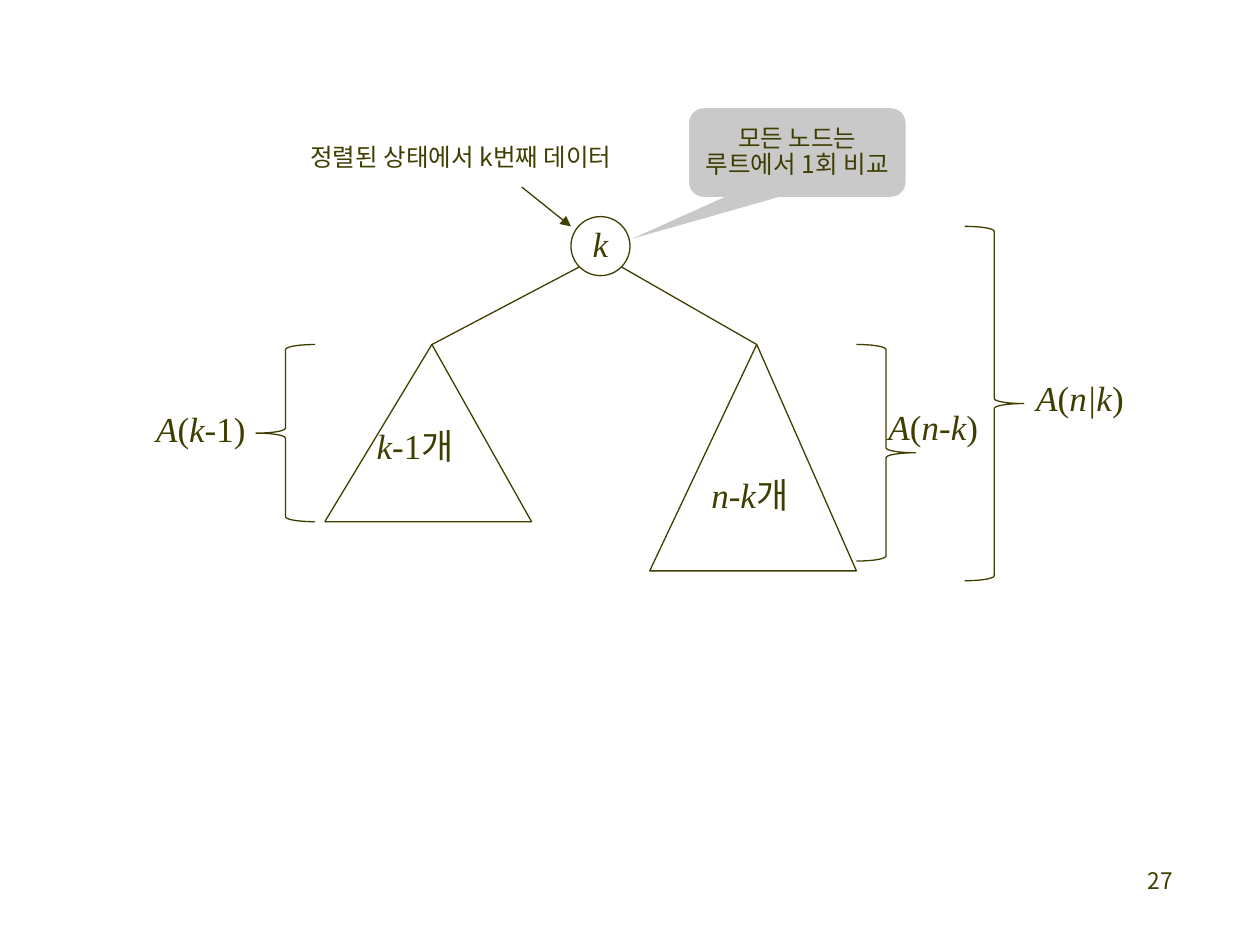
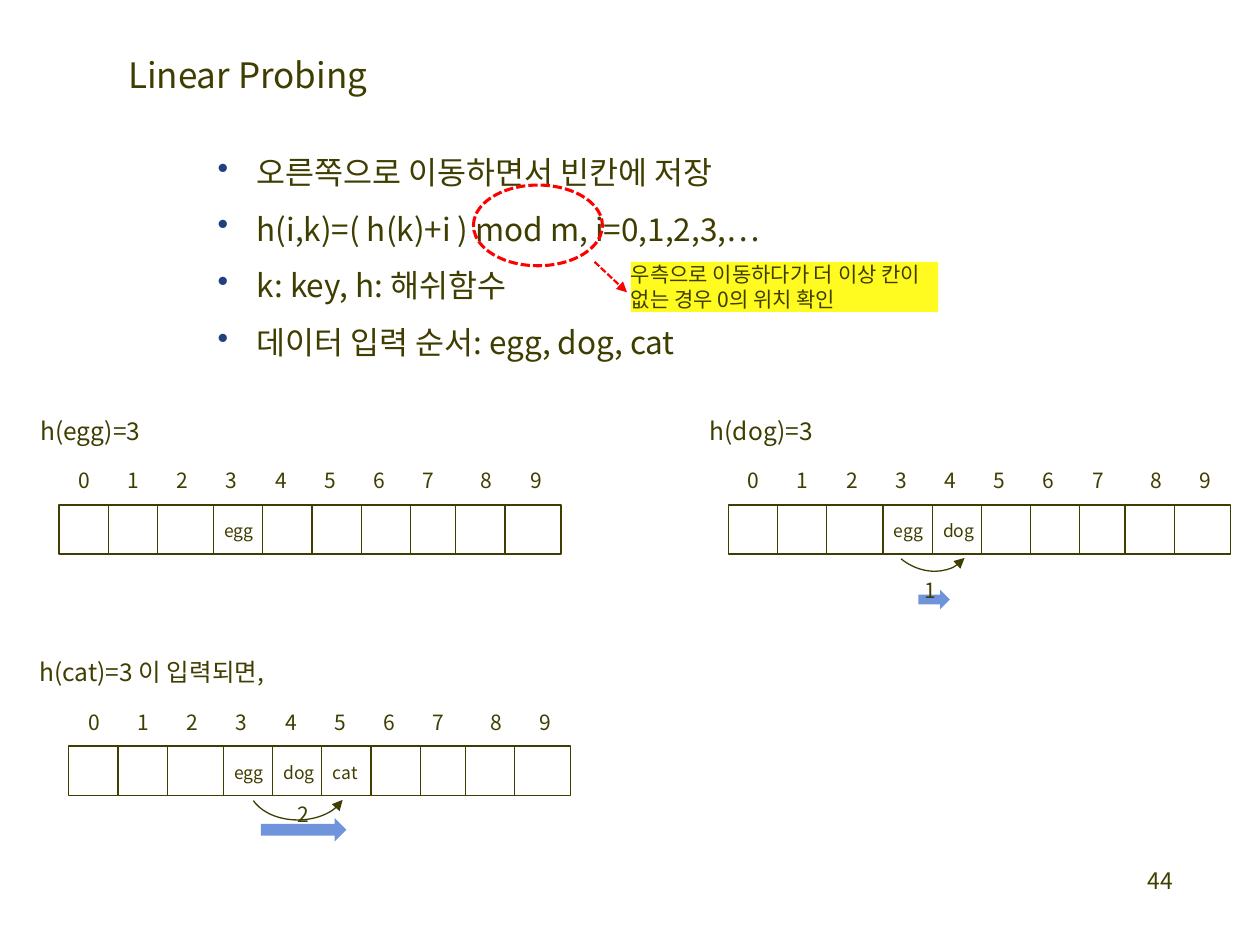
from itertools import accumulate

from lxml import etree
from pptx import Presentation
from pptx.dml.color import RGBColor
from pptx.enum.dml import MSO_LINE
from pptx.enum.shapes import MSO_CONNECTOR, MSO_SHAPE
from pptx.enum.text import MSO_ANCHOR, MSO_AUTO_SIZE, PP_ALIGN
from pptx.oxml.ns import qn
from pptx.util import Inches, Pt

INK = RGBColor(0x3F, 0x3E, 0x00)
RED = RGBColor(0xFF, 0x00, 0x00)
GREY = RGBColor(0xC9, 0xC9, 0xC9)
BLUE = RGBColor(0x70, 0x94, 0xDC)
YELLOW = RGBColor(0xFF, 0xFB, 0x20)
BULLET = RGBColor(0x20, 0x40, 0x80)

SANS, SERIF = "Noto Sans CJK KR", "Times New Roman"
DASH = MSO_LINE.SQUARE_DOT
STRAIGHT = MSO_CONNECTOR.STRAIGHT
LEFT, CENTER, RIGHT = PP_ALIGN.LEFT, PP_ALIGN.CENTER, PP_ALIGN.RIGHT
TOP, MIDDLE = MSO_ANCHOR.TOP, MSO_ANCHOR.MIDDLE
GROW = MSO_AUTO_SIZE.SHAPE_TO_FIT_TEXT
OVAL, RECT, ARC = MSO_SHAPE.OVAL, MSO_SHAPE.RECTANGLE, MSO_SHAPE.ARC
TRIANGLE, BRACE = MSO_SHAPE.ISOSCELES_TRIANGLE, MSO_SHAPE.RIGHT_BRACE
CALLOUT, ARROW = MSO_SHAPE.ROUNDED_RECTANGULAR_CALLOUT, MSO_SHAPE.RIGHT_ARROW

# The slide is a grid of 128 columns and 96 rows of square units.
COLS = 128
WIDTH, HEIGHT = Inches(10), Inches(7.5)
THIN = 0.75
TIGHT = Inches(0.04)
FIXED = Pt(26)

CELLS = (5, 5, 5.7, 5, 5, 5, 5, 4.6, 5, 5.7)
CELL_ROWS = 5
PITCH = 5


def grid(*units):
    return [round(unit * WIDTH / COLS) for unit in units]


def style_run(run, size, font=SANS, italic=False):
    run.font.size = Pt(size)
    run.font.italic = italic
    run.font.color.rgb = INK
    run.font.name = font
    etree.SubElement(run.font._element, qn("a:ea"), typeface=SANS)


def style_frame(frame, inset=None, wrap=True, grow=True, anchor=TOP):
    frame.word_wrap = wrap
    frame.vertical_anchor = anchor
    if grow:
        frame.auto_size = GROW
    if inset is not None:
        frame.margin_left = frame.margin_right = inset
        frame.margin_top = frame.margin_bottom = inset


def write(frame, text, size, align=LEFT, spacing=None):
    frame.text = text
    for par in frame.paragraphs:
        par.alignment = align
        par.line_spacing = spacing
        for run in par.runs:
            style_run(run, size)


def write_math(par, marked, align=LEFT):
    """Set parts split by '/', italic and upright by turns."""
    par.alignment = align
    par.line_spacing = 0.9
    for turn, part in enumerate(marked.split("/")):
        run = par.add_run()
        run.text = part
        style_run(run, 20, SERIF, turn % 2 == 0)


def add_text(slide, box, text, size, align=LEFT, spacing=None, **frame_style):
    frame = slide.shapes.add_textbox(*grid(*box)).text_frame
    style_frame(frame, **frame_style)
    write(frame, text, size, align, spacing)
    return frame


def add_label(slide, box, text, size=14, wrap=False):
    add_text(slide, box, text, size, spacing=FIXED, inset=TIGHT, wrap=wrap)


def add_math(slide, col, row, marked):
    frame = slide.shapes.add_textbox(*grid(col, row, 13.3, 9.9)).text_frame
    style_frame(frame)
    write_math(frame.paragraphs[0], marked)


def add_shape(slide, kind, box, fill=None, line=INK, width=THIN, adjust=(), turn=0):
    shape = slide.shapes.add_shape(kind, *grid(*box))
    shape.shadow.inherit = False
    shape.rotation = turn
    for index, value in enumerate(adjust):
        shape.adjustments[index] = value
    if fill is None:
        shape.fill.background()
        shape.line.color.rgb = line
        shape.line.width = Pt(width)
    else:
        shape.fill.solid()
        shape.fill.fore_color.rgb = fill
        shape.line.fill.background()
    return shape


def add_tip(line, end):
    etree.SubElement(line._get_or_add_ln(), qn(f"a:{end}"), type="triangle")


def add_line(slide, start, end, color=INK, width=THIN, dash=None, tip=False):
    link = slide.shapes.add_connector(STRAIGHT, *grid(*start, *end))
    link.line.color.rgb = color
    link.line.width = Pt(width)
    if dash:
        link.line.dash_style = dash
    if tip:
        add_tip(link.line, "tailEnd")
    etree.SubElement(link._element.spPr, qn("a:effectLst"))


def add_page(deck, number):
    slide = deck.slides.add_slide(deck.slide_layouts[6])
    add_text(slide, (93.8, 87.4, 26.6, 6.4), str(number), 13, RIGHT, grow=False)
    return slide


def add_tree(slide, col, rows, root, count, place):
    """Draw a subtree, the edge from the root and the node count."""
    top, width, peak = 35, 21, 0.518
    add_shape(slide, TRIANGLE, (col, top, width, rows), adjust=[peak])
    add_line(slide, root, (col + width * peak, top))
    add_math(slide, *place, count)


def add_brace(slide, col, row, rows, marked, place, turn=0):
    add_shape(slide, BRACE, (col, row, 6, rows), adjust=[0.083, 0.5], turn=turn)
    add_math(slide, *place, marked)


def add_bullets(slide, box, lines):
    frame = add_text(slide, box, "\n".join(lines), 18, spacing=1.5, inset=TIGHT)
    for par in frame.paragraphs:
        props = par._p.get_or_add_pPr()
        props.set("marL", str(Inches(0.31)))
        props.set("indent", str(-Inches(0.31)))
        color = etree.SubElement(props, qn("a:buClr"))
        etree.SubElement(color, qn("a:srgbClr"), val=str(BULLET))
        etree.SubElement(props, qn("a:buChar"), char="•")


def add_array(slide, col, row, caption, shift, width, keys):
    """Draw a hash table whose keys fill the cells from number 3 on."""
    add_label(slide, (col - shift, row - 11.2, width, 5.6), caption)
    add_shape(slide, RECT, (col, row, sum(CELLS), CELL_ROWS))
    for edge in accumulate(CELLS[:-1]):
        add_line(slide, (col + edge, row), (col + edge, row + CELL_ROWS))
    for index in range(len(CELLS)):
        gap = 0.9 if index > 7 else 0
        box = (col + 0.7 + PITCH * index + gap, row - 4.1, 4, 3.6)
        add_text(slide, box, str(index), 12, spacing=0.9)
    for index, key in enumerate(keys):
        box = (col + 16.3 + PITCH * index, row + 1.3, 5.1, 2.9)
        add_text(slide, box, key, 10, spacing=0.9, inset=TIGHT)


def add_probe(slide, arrow, arc, turn, count, place, adjust=()):
    """Draw the block arrow, arc and step count of a probe."""
    add_shape(slide, ARROW, arrow, fill=BLUE)
    curve = add_shape(slide, ARC, arc, adjust=adjust, turn=turn)
    add_tip(curve.line, "headEnd")
    add_label(slide, (*place, 3.2, 5.6), count, 12, wrap=True)


def build_tree_slide(deck):
    slide = add_page(deck, 27)
    root = add_shape(slide, OVAL, (58, 22, 6, 6))
    style_frame(root.text_frame, grow=False, anchor=MIDDLE)
    write_math(root.text_frame.paragraphs[0], "k", CENTER)

    add_tree(slide, 33, 18, (58.9, 27.1), "k-/1개", (37, 43))
    add_tree(slide, 66, 23, (63.1, 27.1), "n-k/개", (71, 48))
    add_brace(slide, 98, 23, 36, "A/(/n|k/)", (104, 38.1))
    add_brace(slide, 87, 35, 22, "A/(/n-k/)", (89, 41))
    add_brace(slide, 26, 35, 18, "A/(/k-/1)", (14.6, 41.3), turn=180)

    note = add_shape(slide, CALLOUT, (70, 11, 22, 9), fill=GREY,
                     adjust=[-0.764, 0.974, 0.167])
    style_frame(note.text_frame, grow=False, anchor=MIDDLE)
    write(note.text_frame, "모든 노드는 루트에서 1회 비교", 14, CENTER, 0.9)
    add_label(slide, (31, 12.3, 35, 5.6), "정렬된 상태에서 k번째 데이터")
    add_line(slide, (53, 19), (58, 23), tip=True)


def build_probing_slide(deck):
    slide = add_page(deck, 44)
    add_label(slide, (12.5, 4.6, 49.4, 5.6), "Linear Probing", 20, wrap=True)
    add_bullets(slide, (21.6, 13.1, 100.9, 24.3), (
        "오른쪽으로 이동하면서 빈칸에 저장",
        "h(i,k)=( h(k)+i ) mod m, i=0,1,2,3,…",
        "k: key, h: 해쉬함수",
        "데이터 입력 순서: egg, dog, cat",
    ))

    keys = ("egg", "dog", "cat")
    add_array(slide, 6, 51.3, "h(egg)=3", 2.4, 11.6, keys[:1])
    add_array(slide, 74, 51.3, "h(dog)=3", 2.4, 11.6, keys[:2])
    add_array(slide, 7, 75.8, "h(cat)=3 이 입력되면,", 3.5, 26.2, keys)
    add_probe(slide, (93.3, 59.9, 3.2, 2), (90, 48.6, 8.3, 9.9), 129.2,
              "1", (93.4, 56.1))
    add_probe(slide, (26.5, 83.1, 8.7, 2.4), (26.9, 75, 6.7, 9.9), 90,
              "2", (29.7, 78.8), adjust=[171.63, 43.76])

    ring = add_shape(slide, OVAL, (48.1, 18.8, 13.1, 8.2), line=RED, width=1.75)
    ring.line.dash_style = DASH
    note = add_shape(slide, RECT, (64.1, 26.6, 31.2, 5.1), fill=YELLOW)
    style_frame(note.text_frame, inset=0)
    write(note.text_frame, "우측으로 이동하다가 더 이상 칸이 없는 경우 0의 위치 확인", 12)
    add_line(slide, (60.4, 26.6), (63.7, 29.7), RED, 1.25, DASH, tip=True)


def main():
    deck = Presentation()
    deck.slide_width, deck.slide_height = WIDTH, HEIGHT
    build_tree_slide(deck)
    build_probing_slide(deck)
    deck.save("out.pptx")


if __name__ == "__main__":
    main()
